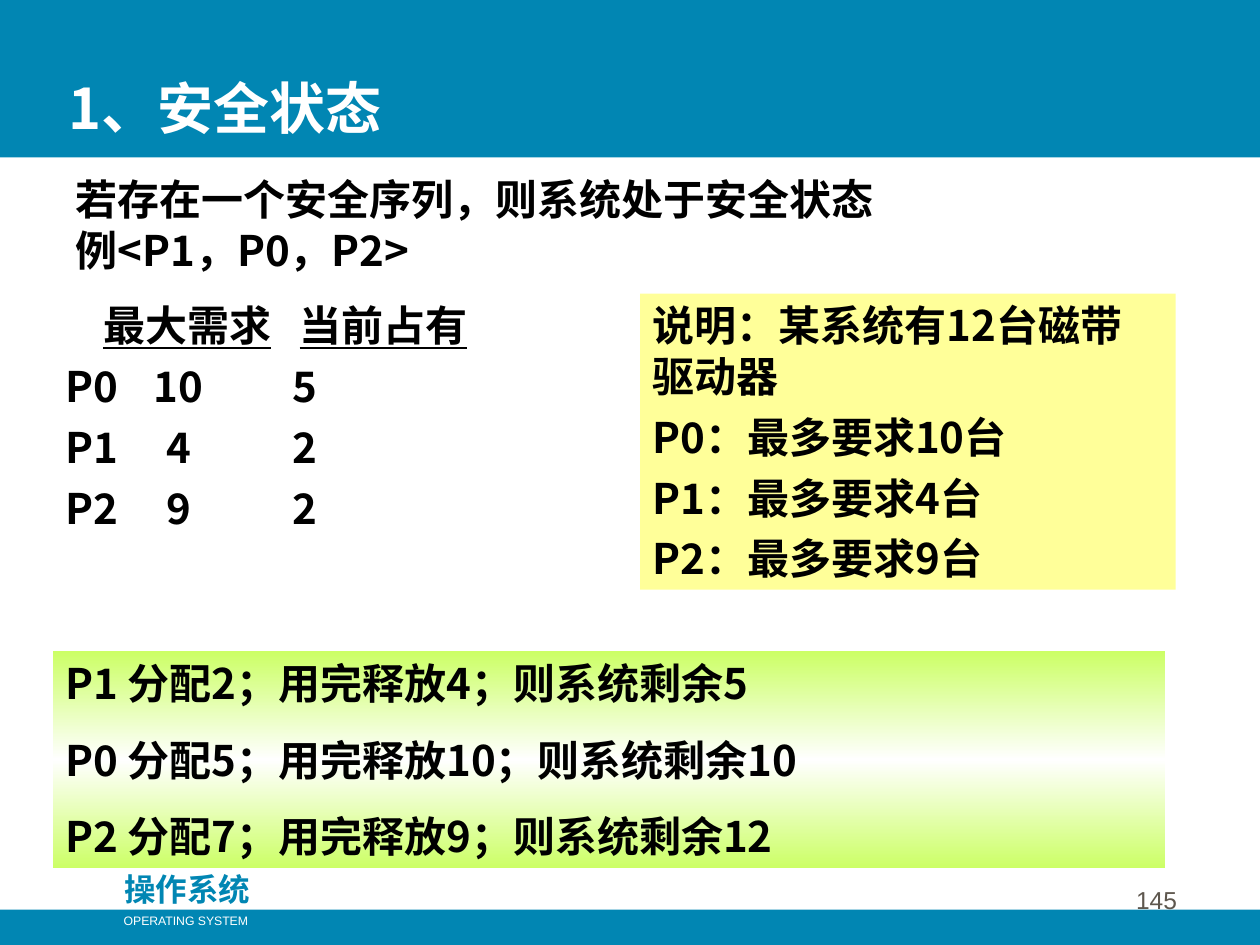
from copy import deepcopy

from lxml import etree
from pptx import Presentation
from pptx.dml.color import RGBColor
from pptx.enum.shapes import MSO_SHAPE
from pptx.enum.text import MSO_ANCHOR, PP_ALIGN
from pptx.oxml.ns import qn
from pptx.util import Inches, Pt

RECTANGLE = MSO_SHAPE.RECTANGLE
TOP, BOTTOM = MSO_ANCHOR.TOP, MSO_ANCHOR.BOTTOM
LEFT, CENTER, RIGHT = PP_ALIGN.LEFT, PP_ALIGN.CENTER, PP_ALIGN.RIGHT
CHINESE, LATIN = "Noto Sans CJK SC", "Arial"
BLUE, WHITE, BLACK, GREY = "0186B3", "FFFFFF", "000000", "5E574E"
YELLOW, GREEN = "FFFF99", "CCFF66"


def color(value):
    return RGBColor.from_string(value)


def write(shape, lines, size=24, ink=BLACK, name=CHINESE, bold=True,
          align=LEFT, anchor=TOP, gap=0, wrap=True, tabs=()):
    """Fill a shape with paragraphs; a line is a string or a list of
    (text, underlined) runs, and tabs holds the stops of each line."""
    frame = shape.text_frame
    frame.word_wrap = wrap
    frame.vertical_anchor = anchor
    for index, line in enumerate(lines):
        paragraph = frame.paragraphs[0] if index == 0 else frame.add_paragraph()
        paragraph.alignment = align
        paragraph.space_before = Pt(gap if index else 0)
        properties = paragraph._p.get_or_add_pPr()
        if tabs:
            tab_list = etree.SubElement(properties, qn("a:tabLst"))
            for position, kind in tabs[index]:
                etree.SubElement(tab_list, qn("a:tab"),
                                 pos=str(Inches(position)), algn=kind)
        font = paragraph.font
        font.size, font.bold, font.name = Pt(size), bold, name
        font.color.rgb = color(ink)
        etree.SubElement(properties.find(qn("a:defRPr")), qn("a:ea"), typeface=name)
        for text, underlined in [(line, False)] if isinstance(line, str) else line:
            run = paragraph.add_run()
            run.text = text
            if underlined:
                run.font.underline = True


presentation = Presentation()
presentation.slide_width, presentation.slide_height = Inches(10), Inches(7.5)
slide = presentation.slides.add_slide(presentation.slide_layouts[5])
shapes = slide.shapes

# Header and footer bands, then the two panels
panels = []
for left, top, width, height, fill in [
    (0, 0, 10, 1.25, BLUE),
    (0, 7.22, 10, 0.28, BLUE),
    (5.08, 2.33, 4.25, 2.35, YELLOW),
    (0.42, 5.17, 8.83, 1.72, GREEN),
]:
    panel = shapes.add_shape(RECTANGLE, Inches(left), Inches(top),
                             Inches(width), Inches(height))
    panel.shadow.inherit = False
    panel.line.fill.background()
    panel.fill.solid()
    panel.fill.fore_color.rgb = color(fill)
    panels.append(panel)
notes_panel, steps_panel = panels[2:]

# Title, brought in front of the header band
title = shapes.title
title.left, title.top = Inches(0.44), Inches(0.17)
title.width, title.height = Inches(8.97), Inches(1)
shapes._spTree.append(title._element)
write(title, ["1、安全状态"], size=32, ink=WHITE, anchor=BOTTOM)

# Explanation of the system
write(notes_panel, ["说明：某系统有12台磁带驱动器", "P0：最多要求10台",
                    "P1：最多要求4台", "P2：最多要求9台"], gap=6)

# Safe sequence steps on a green-white-green gradient
steps_panel.fill.gradient()
steps_panel.fill.gradient_angle = 270
stop_list = steps_panel._element.spPr.find(".//" + qn("a:gsLst"))
stop_list.insert(1, deepcopy(stop_list[0]))
for stop, position, shade in zip(steps_panel.fill.gradient_stops,
                                 (0, 0.5, 1), (GREEN, WHITE, GREEN)):
    stop.position = position
    stop.color.rgb = color(shade)
steps = [("P1", 2, 4, 5), ("P0", 5, 10, 10), ("P2", 7, 9, 12)]
write(steps_panel, [f"{process} 分配{given}；用完释放{freed}；则系统剩余{rest}"
                    for process, given, freed, rest in steps], gap=15)

# Text boxes: definition, demand columns, footer
header_tabs = [(0.3, "l"), (1.86, "l")]
number_tabs = [(0.9, "ctr"), (1.9, "ctr")]
header = [("\t", False), ("最大需求", True), ("\t", False), ("当前占有", True)]
demands = [("P0", 10, 5), ("P1", 4, 2), ("P2", 9, 2)]
rows = [f"{process}\t{most}\t{held}" for process, most, held in demands]

for left, top, width, height, lines, style in [
    (0.5, 1.33, 8.58, 0.9,
     ["若存在一个安全序列，则系统处于安全状态", "例<P1，P0，P2>"], {}),
    (0.42, 2.33, 4.58, 1.95, [header, *rows],
     dict(gap=6, tabs=[header_tabs] + [number_tabs] * len(rows))),
    (0.83, 6.86, 1.31, 0.4, ["操作系统"],
     dict(size=18, ink=BLUE, align=CENTER)),
    (0.88, 7.2, 1.19, 0.22, ["OPERATING SYSTEM"],
     dict(size=7, ink=WHITE, name=LATIN, bold=False, align=CENTER, wrap=False)),
    (7.36, 6.81, 2.08, 0.5, ["145"],
     dict(size=14, ink=GREY, name=LATIN, bold=False, align=RIGHT, anchor=BOTTOM)),
]:
    box = shapes.add_textbox(Inches(left), Inches(top), Inches(width), Inches(height))
    write(box, lines, **style)

presentation.save("out.pptx")
